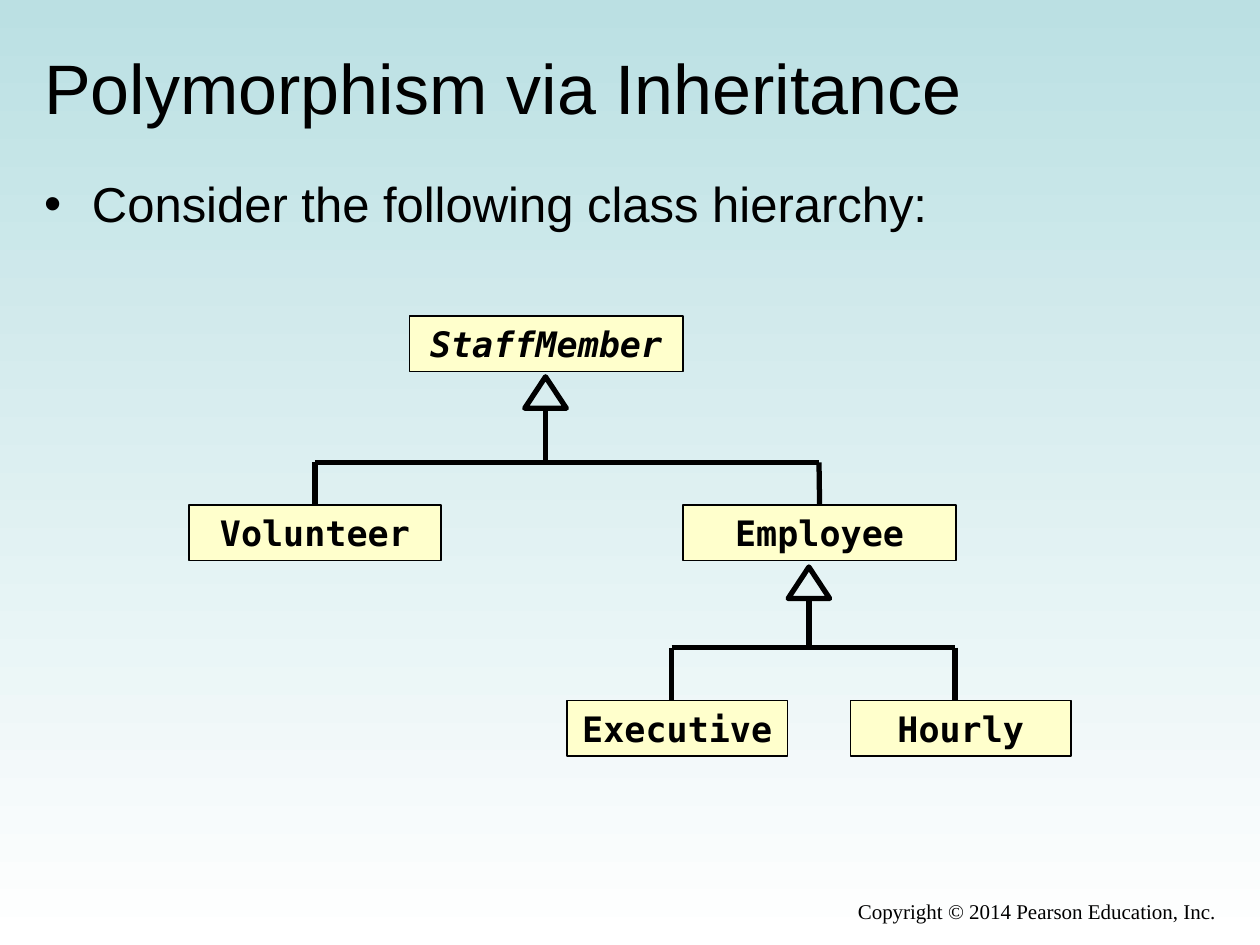
from lxml import etree
from pptx import Presentation
from pptx.dml.color import RGBColor
from pptx.enum.shapes import MSO_CONNECTOR, MSO_SHAPE
from pptx.enum.text import MSO_ANCHOR, MSO_AUTO_SIZE, PP_ALIGN
from pptx.oxml.ns import qn
from pptx.util import Inches, Pt

STRAIGHT = MSO_CONNECTOR.STRAIGHT
RECTANGLE, TRIANGLE = MSO_SHAPE.RECTANGLE, MSO_SHAPE.ISOSCELES_TRIANGLE
MIDDLE = MSO_ANCHOR.MIDDLE
NO_AUTOFIT = MSO_AUTO_SIZE.NONE
LEFT, CENTER, RIGHT = PP_ALIGN.LEFT, PP_ALIGN.CENTER, PP_ALIGN.RIGHT

BLACK = RGBColor(0x00, 0x00, 0x00)
WHITE = RGBColor(0xFF, 0xFF, 0xFF)
PALE_TEAL = RGBColor(0xBB, 0xE0, 0xE3)
CREAM = RGBColor(0xFF, 0xFF, 0xCC)

TITLE = "Polymorphism via Inheritance"
INTRO = "Consider the following class hierarchy:"
COPYRIGHT = "Copyright © 2014 Pearson Education, Inc."

# class name: (left, top, width, is abstract)
CLASSES = {
    "StaffMember": (3.25, 2.51, 2.17, True),
    "Volunteer": (1.5, 4.01, 2, False),
    "Employee": (5.42, 4.01, 2.17, False),
    "Executive": (4.5, 5.56, 1.75, False),
    "Hourly": (6.75, 5.56, 1.75, False),
}
# (arrow centre, arrow top, bar height, [(subclass, x of its branch)])
INHERITANCE = [
    (4.33, 2.99, 3.67, [("Volunteer", 2.5), ("Employee", 6.5)]),
    (6.42, 4.5, 5.14, [("Executive", 5.33), ("Hourly", 7.58)]),
]
CLASS_HEIGHT = 0.44
ARROW_WIDTH, ARROW_HEIGHT = 0.33, 0.25


def place(shape, left, top, width, height):
    shape.left, shape.top = Inches(left), Inches(top)
    shape.width, shape.height = Inches(width), Inches(height)


def write(shape, text, font, size, align):
    frame = shape.text_frame
    frame.word_wrap = True
    frame.auto_size = NO_AUTOFIT
    paragraph = frame.paragraphs[0]
    paragraph.text = text
    paragraph.alignment = align
    paragraph.space_before = Pt(0)
    paragraph.font.name = font
    paragraph.font.size = Pt(size)
    paragraph.font.color.rgb = BLACK
    return paragraph


def add_line(shapes, x1, y1, x2, y2):
    line = shapes.add_connector(
        STRAIGHT, Inches(x1), Inches(y1), Inches(x2), Inches(y2))
    line.line.color.rgb = BLACK
    line.line.width = Pt(3)
    etree.SubElement(line._element.spPr, qn("a:effectLst"))
    return line


def add_outlined(shapes, kind, left, top, width, height, line_width):
    shape = shapes.add_shape(
        kind, Inches(left), Inches(top), Inches(width), Inches(height))
    shape.shadow.inherit = False
    shape.fill.background()
    shape.line.color.rgb = BLACK
    shape.line.width = Pt(line_width)
    return shape


def add_class(shapes, name, left, top, width, abstract):
    box = add_outlined(shapes, RECTANGLE, left, top, width, CLASS_HEIGHT, 1)
    box.fill.solid()
    box.fill.fore_color.rgb = CREAM
    box.text_frame.vertical_anchor = MIDDLE
    label = write(box, name, "DejaVu Sans Mono", 20, CENTER)
    label.font.bold = True
    label.font.italic = abstract
    return box


def add_inheritance(shapes, boxes, center, arrow_top, bar_y, branches):
    add_outlined(shapes, TRIANGLE, center - ARROW_WIDTH / 2, arrow_top,
                 ARROW_WIDTH, ARROW_HEIGHT, 3)
    add_line(shapes, center, bar_y, center, arrow_top + ARROW_HEIGHT)
    add_line(shapes, branches[0][1], bar_y, branches[-1][1], bar_y)
    for name, x in branches:
        left, top, width, _ = CLASSES[name]
        branch = add_line(shapes, x, bar_y, x, top)
        if abs(left + width / 2 - x) < 0.01:
            branch.end_connect(boxes[name], 0)


def main():
    deck = Presentation()
    deck.slide_width, deck.slide_height = Inches(10), Inches(7.5)
    slide = deck.slides.add_slide(deck.slide_layouts[1])
    shapes = slide.shapes

    backdrop = slide.background.fill
    backdrop.gradient()
    backdrop.gradient_angle = 270
    for stop, color, position in zip(
            backdrop.gradient_stops, (PALE_TEAL, WHITE), (0, 1)):
        stop.color.rgb = color
        stop.position = position

    title = shapes.title
    place(title, 0.25, 0.3, 9.5, 0.78)
    title.text_frame.vertical_anchor = MIDDLE
    write(title, TITLE, "Arial", 40, LEFT)

    intro = slide.placeholders[1]
    place(intro, 0.25, 1.33, 9.33, 1.08)
    properties = intro.text_frame.paragraphs[0]._p.get_or_add_pPr()
    properties.set("marL", str(Inches(0.38)))
    properties.set("indent", str(Inches(-0.38)))
    etree.SubElement(properties, qn("a:buChar")).set("char", "•")
    write(intro, INTRO, "Arial", 28, LEFT)

    boxes = {name: add_class(shapes, name, *layout)
             for name, layout in CLASSES.items()}
    for relation in INHERITANCE:
        add_inheritance(shapes, boxes, *relation)

    footer = shapes.add_textbox(
        Inches(3.67), Inches(7.08), Inches(6.08), Inches(0.34))
    write(footer, COPYRIGHT, "Times New Roman", 12, RIGHT)

    deck.save("out.pptx")


if __name__ == "__main__":
    main()
